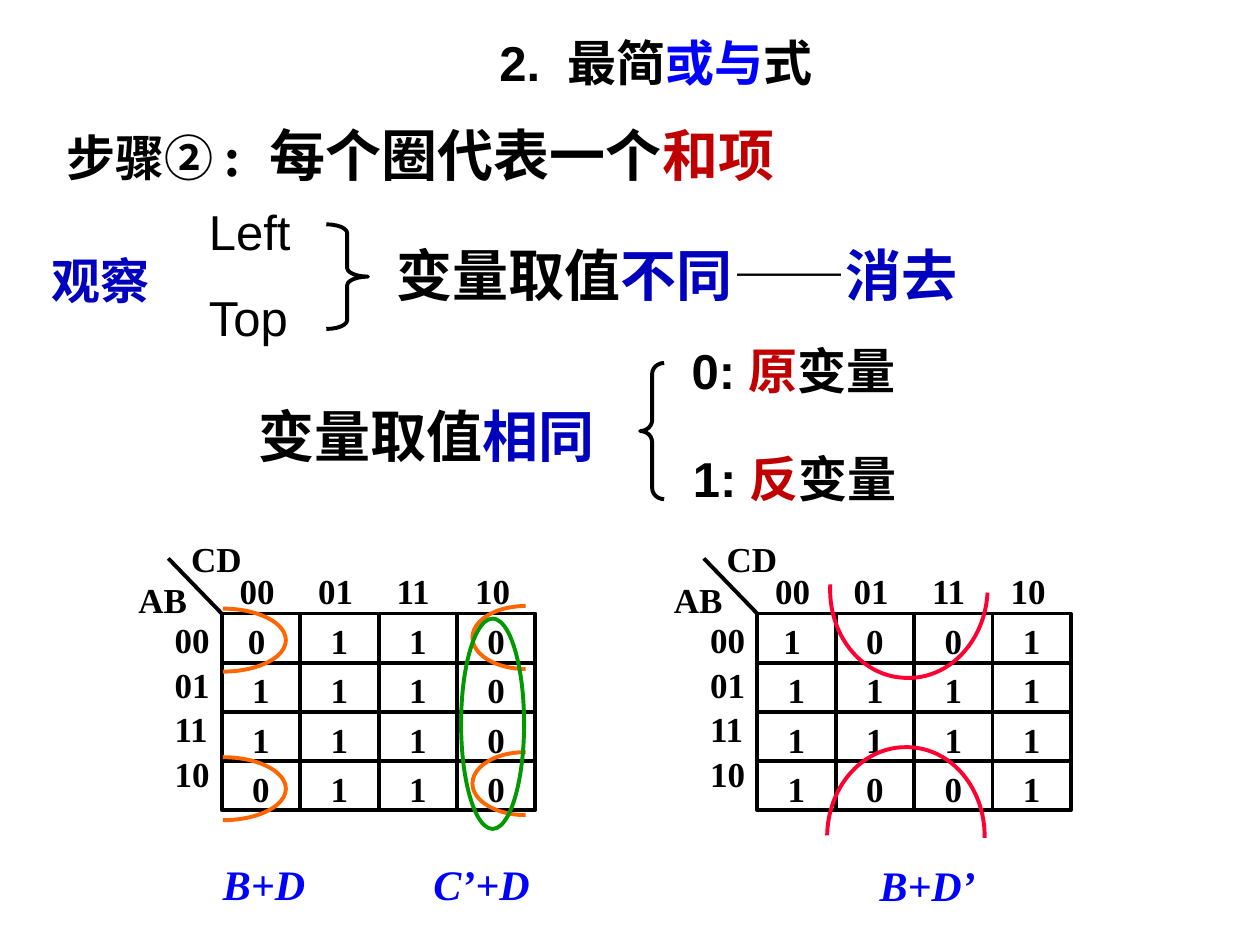
from pptx import Presentation
from pptx.dml import color
from pptx.enum import shapes, text
from pptx.oxml import ns, xmlchemy
from pptx.util import Pt

SERIF, SANS, CJK = "Times New Roman", "Arial", "Noto Sans CJK SC"
BLACK, BLUE, NAVY, RED = "000000", "0000FF", "0000BF", "C00000"
ORANGE, PINK, GREEN = "FF6600", "FF0033", "009900"
CELL_W, CELL_H = 44.82, 28.08
CENTER = text.PP_ALIGN.CENTER
GEOMETRY = shapes.MSO_SHAPE


def rgb(value):
    return color.RGBColor.from_string(value)


def pts(*values):
    return [Pt(v) for v in values]


class Board:
    """Holds the slide and its text and line style."""

    line_width = 2.25
    base = {"name": SERIF, "size": 20, "bold": True, "italic": False, "color": BLACK}

    def __init__(self, slide):
        self.s = slide

    def fill_text(self, sp, paragraphs, fmt=None, align=None, frame=None, para=None, gap=0):
        """Write paragraphs, each a list of (text, format changes) runs."""
        tf = sp.text_frame
        settings = {"word_wrap": True, "vertical_anchor": text.MSO_ANCHOR.TOP,
                    "auto_size": text.MSO_AUTO_SIZE.NONE}
        for name, value in {**settings, **(frame or {})}.items():
            setattr(tf, name, value)
        for i, runs in enumerate(paragraphs):
            p = tf.add_paragraph() if i else tf.paragraphs[0]
            p.alignment = align
            for name, value in (para or {}).items():
                setattr(p, name, value)
            if i:
                p.space_before = Pt(gap)
            for content, changes in runs:
                r = p.add_run()
                r.text = content
                self.format_run(r, {**self.base, **(fmt or {}), **changes})
        return tf

    def format_run(self, r, fmt):
        for name, value in fmt.items():
            if name == "color":
                r.font.color.rgb = rgb(value)
            else:
                setattr(r.font, name, Pt(value) if name == "size" else value)
        ea = xmlchemy.OxmlElement("a:ea")
        ea.set("typeface", CJK)
        r.font._element.find(ns.qn("a:latin")).addnext(ea)

    def title(self, box, runs, fmt):
        sp = self.s.shapes.title
        for name, value in zip(("left", "top", "width", "height"), pts(*box)):
            setattr(sp, name, value)
        self.fill_text(sp, [runs], fmt, CENTER)

    def label(self, box, paragraphs, fmt=None, **options):
        sp = self.s.shapes.add_textbox(*pts(*box))
        return self.fill_text(sp, paragraphs, fmt, **options)

    def outline(self, kind, box, line=BLACK, adjust=(), rotation=0):
        sp = self.s.shapes.add_shape(kind, *pts(*box))
        sp.shadow.inherit = False
        sp.fill.background()
        sp.line.color.rgb = rgb(line)
        sp.line.width = Pt(self.line_width)
        sp.rotation = rotation
        for i, value in enumerate(adjust):
            sp.adjustments[i] = value
        return sp

    def line(self, *ends):
        c = self.s.shapes.add_connector(shapes.MSO_CONNECTOR.STRAIGHT, *pts(*ends))
        c.line.color.rgb = rgb(BLACK)
        c.line.width = Pt(self.line_width)
        c._element.spPr.append(xmlchemy.OxmlElement("a:effectLst"))

    def tabs(self, p, first, step, count):
        pPr = p._p.get_or_add_pPr()
        stops = xmlchemy.OxmlElement("a:tabLst")
        for i in range(count):
            stop = xmlchemy.OxmlElement("a:tab")
            stop.set("pos", str(Pt(first + i * step)))
            stop.set("algn", "l")
            stops.append(stop)
        pPr.append(stops)

    def karnaugh_map(self, left, top, rows):
        for i, row in enumerate(rows):
            for j, value in enumerate(row):
                box = (left + j * CELL_W, top + i * CELL_H, CELL_W, CELL_H)
                sp = self.outline(GEOMETRY.RECTANGLE, box)
                self.fill_text(sp, [[(value, {})]], align=CENTER)
        self.line(left, top, left - 30.5, top - 31.5)
        codes = ("00", "01", "11", "10")
        header = "".join("\t" + code for code in codes)
        tf = self.label((left - 6.5, top - 28.8, 192, 31), [[(header, {})]])
        self.tabs(tf.paragraphs[0], 9.7, CELL_W, len(codes))
        self.label((left - 34, top + 8, 37.5, 101), [[(code, {})] for code in codes],
                   para={"line_spacing": 0.6}, gap=11)
        self.label((left - 54.7, top - 23.8, 54, 31), [[("AB", {})]])
        self.label((left - 24.5, top - 46.8, 52, 31), [[("CD", {})]])


def main():
    prs = Presentation()
    prs.slide_width, prs.slide_height = pts(720, 540)
    b = Board(prs.slides.add_slide(prs.slide_layouts[5]))

    b.karnaugh_map(126.7, 350.6, (("0 ", "1", "1", "0"), "1110", "1110", "0110"))
    for top in (347.8, 432.7):
        b.outline(GEOMETRY.RIGHT_BRACKET, (127.4, top, 36, 36), ORANGE, [0.5])
    for top in (346.3, 429.8):
        b.outline(GEOMETRY.LEFT_BRACKET, (270, top, 30.4, 36), ORANGE, [0.59])
    b.karnaugh_map(432.7, 350.6, (("1 ", "0", "0", "1"), "1111", "1111", "1001"))
    for top, angle in ((316.8, 273), (407.5, 90.9)):
        b.outline(GEOMETRY.LEFT_BRACKET, (492.5, top, 51.1, 90), PINK, [0.87], angle)
    b.outline(GEOMETRY.OVAL, (263.5, 353.5, 36, 120.2), GREEN)

    medium, large = {"name": SANS, "size": 28}, {"size": 32}
    sans, cjk = {"name": SANS}, {"name": CJK}
    b.title((105.8, 15.1, 537.8, 41),
            [("2.  最简", {}), ("或与", {"color": BLUE}), ("式", {})], medium)
    b.label((112.3, 111.6, 85.7, 92.2), [[("Left", {})], [("Top", {})]],
            {**medium, "bold": False}, gap=15.6)
    b.label((219.6, 133.9, 367.2, 45.4),
            [[("变量", sans), ("取值", {}), ("不同", {"color": NAVY}),
              ("——", {"name": SANS, "bold": False}), ("消去", {"name": SANS, "color": NAVY})]],
            large)
    b.outline(GEOMETRY.RIGHT_BRACE, (186.5, 128.2, 23.8, 59.8), adjust=[0.21, 0.5])
    b.outline(GEOMETRY.LEFT_BRACE, (365.8, 207.4, 13.7, 77.8), adjust=[0.46, 0.5])
    for box, digit, kind in (((388.1, 190.8, 306, 41), "0: ", "原"),
                             ((388.8, 252.7, 151.9, 41), "1: ", "反")):
        b.label(box, [[(digit, sans), (kind, {"color": RED}), ("变量", {})]], {"size": 28})
    b.label((31, 65.5, 658, 46),
            [[("步骤②", {"size": 28}), (" ", {"size": 24}), (":  ", {}),
              ("每个圈代表一个", cjk), ("和", {"color": RED}), ("项", {**cjk, "color": RED})]],
            large)
    b.label((140.4, 226.1, 230.4, 46),
            [[("变量", sans), ("取值", {}), ("相同", {"color": NAVY})]], large)
    b.label((22.3, 139.7, 73.4, 41), [[("观察", {})]], {"size": 28, "color": NAVY})

    margins = ("margin_left", "margin_top", "margin_right", "margin_bottom")
    tight = {**dict.fromkeys(margins, 0), "word_wrap": False}
    for box, term in (((127.4, 490.3, 47.5, 28.8), "B+D"),
                      ((247.7, 490.3, 55.4, 28.8), "C’+D"),
                      ((502.6, 491, 55.4, 28.8), "B+D’")):
        b.label(box, [[(term, {})]], {"size": 24, "italic": True, "color": BLUE}, frame=tight)

    prs.save("out.pptx")


if __name__ == "__main__":
    main()
